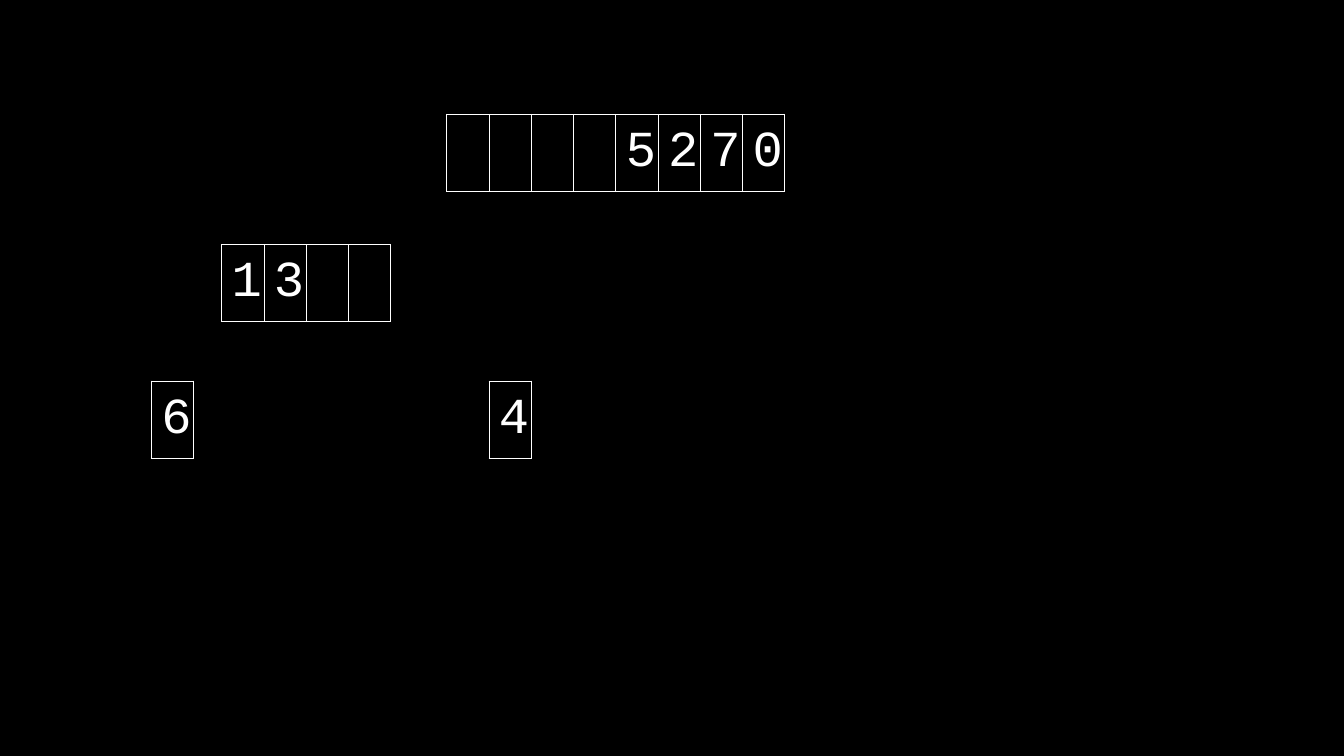
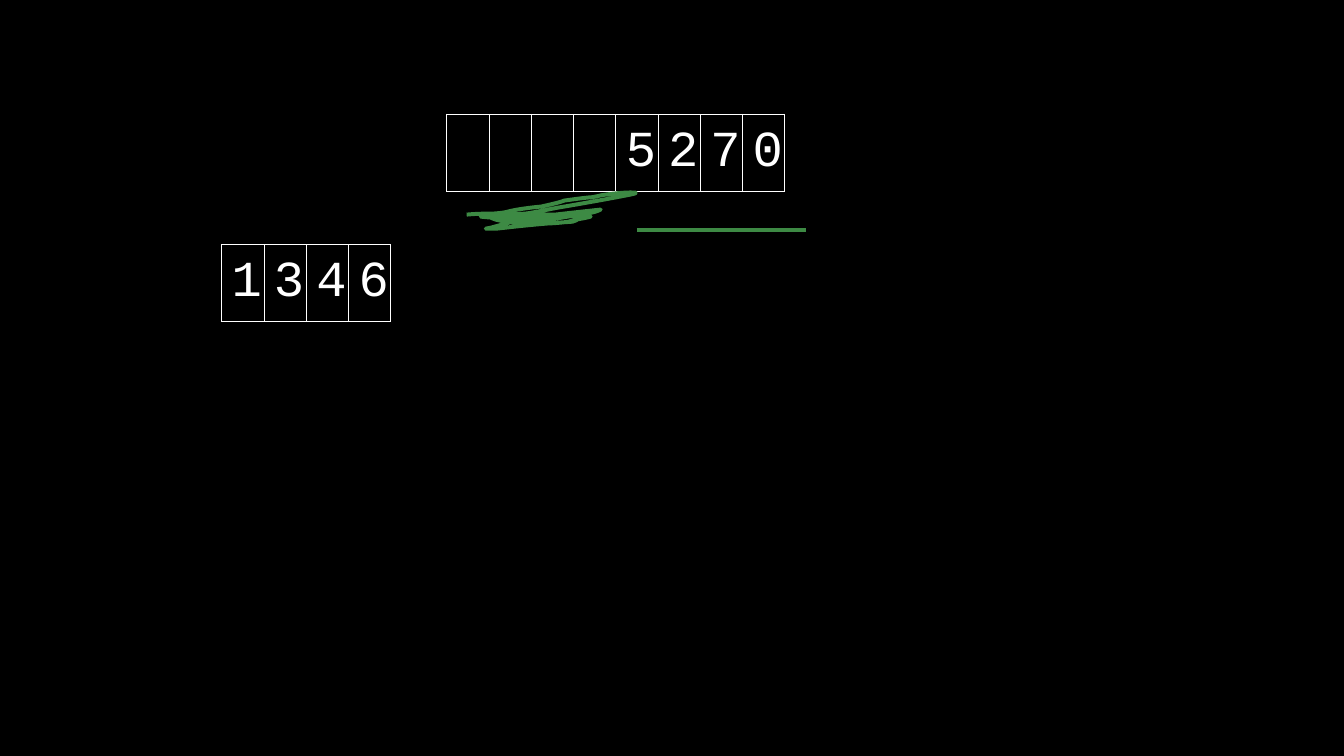
from dataclasses import dataclass
from itertools import chain

from pptx import Presentation
from pptx.dml.color import RGBColor
from pptx.enum.shapes import MSO_CONNECTOR
from pptx.enum.text import MSO_ANCHOR, PP_ALIGN
from pptx.oxml import parse_xml
from pptx.oxml.ns import nsdecls, qn
from pptx.slide import Slide
from pptx.table import _Cell as Cell
from pptx.util import Cm, Pt

BLACK = "000000"
WHITE = "FFFFFF"
GREEN = "3D8A44"
DIGIT_FONT = "Courier New"
DIGIT_WIDTH = Cm(8.52) // 8
DIGIT_HEIGHT = Cm(1.95)
INSET = Cm(0.25)
BORDER_WIDTH = Pt(0.75)
PEN_WIDTH = Pt(2.83)
SKETCH_UNIT = Cm(2.54) / 100
BLANK_LAYOUT = 6

Point = tuple[float, float]
Curve = tuple[Point, Point, Point]


@dataclass(frozen=True)
class DigitRow:
    """A row of digit boxes; a space is an empty box, an underscore an unframed one."""
    left: float
    top: float
    digits: str


PRODUCT = DigitRow(11.26, 2.88, "    5270")
FIRST_SLIDE = (
    PRODUCT,
    DigitRow(5.59, 6.16, "13  "),
    DigitRow(2.75, 9.6, "_6"),
    DigitRow(11.26, 9.6, "_4"),
)
SECOND_SLIDE = (PRODUCT, DigitRow(5.59, 6.16, "1346"))

# Pen strokes: two control points and an end point, in SKETCH_UNIT
SCRIBBLE_START = (463, 213)
SCRIBBLE: tuple[Curve, ...] = (
    ((473, 212), (482, 212), (487, 212)),
    ((492, 212), (501, 211), (504, 210)),
    ((511, 208), (526, 206), (537, 205)),
    ((550, 202), (555, 201), (560, 199)),
    ((568, 198), (574, 197), (584, 196)),
    ((590, 196), (593, 194), (602, 193)),
    ((609, 192), (620, 191), (625, 191)),
    ((630, 191), (635, 191), (626, 193)),
    ((606, 197), (572, 203), (554, 206)),
    ((543, 208), (530, 211), (521, 212)),
    ((507, 213), (501, 213), (492, 213)),
    ((484, 213), (478, 213), (492, 218)),
    ((504, 221), (517, 222), (535, 222)),
    ((545, 222), (558, 221), (564, 220)),
    ((574, 217), (579, 217), (586, 215)),
    ((581, 212), (562, 213), (537, 215)),
    ((511, 215), (501, 215), (492, 215)),
    ((487, 215), (482, 215), (477, 215)),
    ((497, 217), (515, 218), (541, 218)),
    ((555, 217), (573, 213), (582, 212)),
    ((588, 211), (592, 210), (596, 208)),
    ((568, 211), (532, 215), (518, 217)),
    ((502, 222), (494, 224), (487, 226)),
    ((482, 227), (477, 227), (492, 227)),
    ((535, 222), (554, 221), (568, 220)),
    ((573, 218), (578, 218), (565, 213)),
    ((534, 213), (502, 213), (490, 213)),
    ((485, 213), (481, 213), (478, 213)),
)


def rgb(color: str) -> RGBColor:
    return RGBColor.from_string(color)


def add_border(cell: Cell, side: str, visible: bool) -> None:
    fill = f'<a:solidFill><a:srgbClr val="{WHITE}"/></a:solidFill>' if visible else "<a:noFill/>"
    cell._tc.get_or_add_tcPr().append(parse_xml(
        f'<a:ln{side} {nsdecls("a")} w="{BORDER_WIDTH}">{fill}</a:ln{side}>'))


def add_digit_row(slide: Slide, row: DigitRow) -> None:
    count = len(row.digits)
    table = slide.shapes.add_table(1, count, Cm(row.left), Cm(row.top),
                                   DIGIT_WIDTH * count, DIGIT_HEIGHT).table
    table.first_row = table.horz_banding = False
    for column, digit in enumerate(row.digits):
        table.columns[column].width = DIGIT_WIDTH
        cell = table.cell(0, column)
        for side in "LRTB":
            add_border(cell, side, visible=digit != "_" or side == "R")
        cell.fill.background()
        cell.vertical_anchor = MSO_ANCHOR.MIDDLE
        cell.margin_left = cell.margin_right = INSET
        cell.margin_top = cell.margin_bottom = INSET
        if digit.isdigit():
            paragraph = cell.text_frame.paragraphs[0]
            paragraph.text = digit
            paragraph.alignment = PP_ALIGN.CENTER
            font = paragraph.font
            font.name, font.size = DIGIT_FONT, Pt(36)
            font.color.rgb = rgb(WHITE)


def add_scribble(slide: Slide) -> None:
    """Lay out the control points as a polyline, then turn each three into one curve."""
    builder = slide.shapes.build_freeform(*SCRIBBLE_START, scale=SKETCH_UNIT)
    builder.add_line_segments(chain.from_iterable(SCRIBBLE), close=False)
    scribble = builder.convert_to_shape()
    segments = list(scribble._element.iter(qn("a:lnTo")))
    for first, second, end in zip(segments[::3], segments[1::3], segments[2::3]):
        curve = parse_xml(f'<a:cubicBezTo {nsdecls("a")}/>')
        first.addprevious(curve)
        for segment in (first, second, end):
            curve.append(segment[0])
            segment.getparent().remove(segment)
    scribble.shadow.inherit = False
    scribble.fill.background()
    scribble.line.color.rgb = rgb(GREEN)
    scribble.line.width = PEN_WIDTH


def add_underline(slide: Slide) -> None:
    underline = slide.shapes.add_connector(
        MSO_CONNECTOR.STRAIGHT, Cm(16.05), Cm(5.8), Cm(20.3), Cm(5.8))
    underline.line.color.rgb = rgb(GREEN)
    underline.line.width = PEN_WIDTH
    underline._element.spPr.append(parse_xml(f'<a:effectLst {nsdecls("a")}/>'))


def main() -> None:
    prs = Presentation()
    prs.slide_width, prs.slide_height = Cm(33.87), Cm(19.05)
    background = prs.slide_master.background.fill
    background.solid()
    background.fore_color.rgb = rgb(BLACK)

    for rows in (FIRST_SLIDE, SECOND_SLIDE):
        slide = prs.slides.add_slide(prs.slide_layouts[BLANK_LAYOUT])
        for row in rows:
            add_digit_row(slide, row)
    add_scribble(slide)
    add_underline(slide)

    prs.save("out.pptx")


if __name__ == "__main__":
    main()
